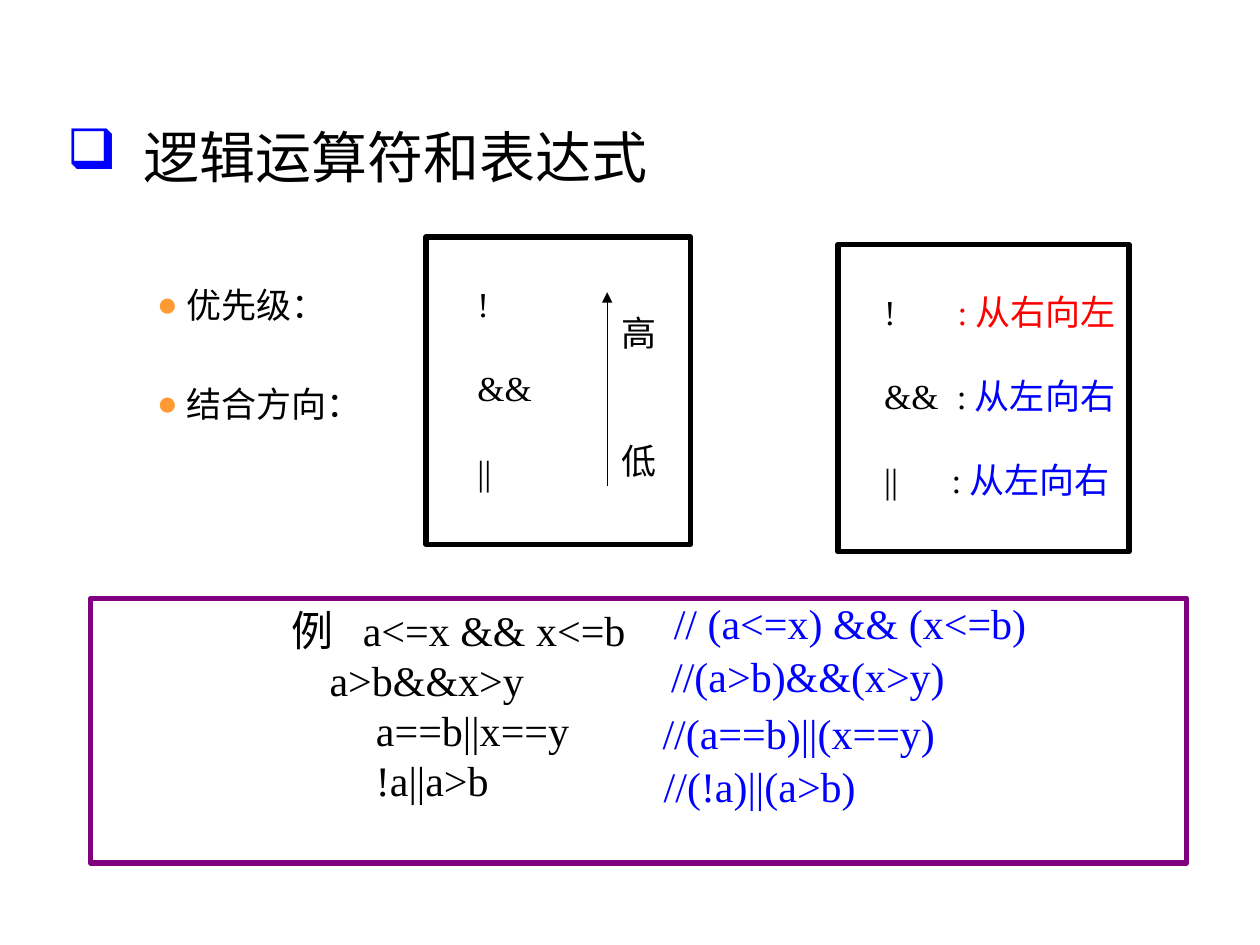
from dataclasses import dataclass

from lxml.etree import SubElement
from pptx import Presentation
from pptx.dml.color import RGBColor
from pptx.enum.shapes import MSO_CONNECTOR as Connector, MSO_SHAPE as Preset
from pptx.enum.text import MSO_ANCHOR as Anchor, MSO_AUTO_SIZE as AutoSize, PP_ALIGN as Align
from pptx.oxml.ns import qn
from pptx.util import Pt


@dataclass(frozen=True)
class Theme:
    ink: str = "000000"
    paper: str = "FFFFFF"
    blue: str = "0000FF"
    red: str = "FF0000"
    purple: str = "800080"
    orange: str = "FF9933"
    title: int = 32
    code: int = 24
    label: int = 20
    serif: str = "Times New Roman"
    sans: str = "Arial"
    heading: str = "Calibri"
    chinese: str = "Noto Sans CJK SC"


THEME = Theme()


def apply_format(target, values):
    for name, value in values.items():
        setattr(target, name, value)


def place(shape, left, top, width, height):
    apply_format(shape, {"left": Pt(left), "top": Pt(top),
                         "width": Pt(width), "height": Pt(height)})


def set_frame(frame, wrap):
    apply_format(frame, {"word_wrap": wrap, "auto_size": AutoSize.NONE,
                         "vertical_anchor": Anchor.TOP,
                         "margin_left": Pt(7.2), "margin_right": Pt(7.2),
                         "margin_top": Pt(3.6), "margin_bottom": Pt(3.6)})


def add_runs(paragraph, runs, size, font):
    for text, color, *special_font in runs:
        run = paragraph.add_run()
        run.text = text
        apply_format(run.font, {"size": Pt(size), "name": (special_font or [font])[0]})
        run.font.color.rgb = RGBColor.from_string(color)


def set_indent(paragraph, left, hang):
    properties = paragraph._p.get_or_add_pPr()
    properties.set("marL", str(Pt(left)))
    properties.set("indent", str(Pt(-hang)))


def set_bullet(paragraph, character, color):
    properties = paragraph._p.get_or_add_pPr()
    bullet_color = SubElement(properties, qn("a:buClr"))
    SubElement(bullet_color, qn("a:srgbClr"), val=color)
    SubElement(properties, qn("a:buChar"), char=character)


def write_lines(shape, lines, size, font, wrap=False, spacing=None, gap=0, bullet=None):
    frame = shape.text_frame
    set_frame(frame, wrap)
    for index, (runs, left, hang) in enumerate(lines):
        paragraph = frame.add_paragraph() if index else frame.paragraphs[0]
        apply_format(paragraph, {"alignment": Align.LEFT, "space_before": Pt(0),
                                 "space_after": Pt(gap),
                                 "line_spacing": Pt(spacing) if spacing else 1.0})
        set_indent(paragraph, left, hang)
        if bullet:
            set_bullet(paragraph, *bullet)
        add_runs(paragraph, runs, size, font)


def add_text(shapes, box, lines, size, **options):
    shape = shapes.add_textbox(*map(Pt, box))
    write_lines(shape, lines, size, THEME.serif, **options)


def add_frame(shapes, box, color, fill=None):
    shape = shapes.add_shape(Preset.RECTANGLE, *map(Pt, box))
    shape.shadow.inherit = False
    if fill:
        shape.fill.solid()
        shape.fill.fore_color.rgb = RGBColor.from_string(fill)
    else:
        shape.fill.background()
    shape.line.color.rgb = RGBColor.from_string(color)
    shape.line.width = Pt(3)
    return shape


def add_arrow(shapes, start, end):
    arrow = shapes.add_connector(Connector.STRAIGHT, *map(Pt, start + end))
    arrow.line.color.rgb = RGBColor.from_string(THEME.ink)
    arrow.line.width = Pt(0.75)
    SubElement(arrow.line._get_or_add_ln(), qn("a:tailEnd"), type="triangle")
    SubElement(arrow._element.spPr, qn("a:effectLst"))


def fill_placeholders(slide):
    title, body = slide.placeholders
    place(title, 31, 66.2, 516, 46)
    write_lines(title, [([("逻辑运算符和表达式", THEME.ink)], 43.5, 43.5)],
                THEME.title, THEME.heading, wrap=True, bullet=("❑", THEME.blue))
    place(body, 82.5, 158.4, 138, 89)
    topics = [([(text, THEME.ink)], 17, 17) for text in ("优先级：", "结合方向：")]
    write_lines(body, topics, THEME.label, THEME.sans, gap=32.5,
                bullet=("●", THEME.orange))


def add_priority(slide):
    shapes = slide.shapes.add_group_shape().shapes
    add_frame(shapes, (243.4, 135.4, 151.2, 175.7), THEME.ink)
    operators = [([(text, THEME.ink)], 0, 0) for text in ("!", "&&", "||")]
    add_text(shapes, (265.7, 158, 56, 127), operators, THEME.label, spacing=24, gap=24)
    for text, top in (("高", 174.2), ("低", 247.7)):
        add_text(shapes, (347.8, top, 34.6, 31.7), [([(text, THEME.ink)], 0, 0)],
                 THEME.label)
    add_arrow(shapes, (347, 278), (347, 167))


def add_direction(slide):
    shapes = slide.shapes.add_group_shape().shapes
    add_frame(shapes, (478.8, 139.7, 166.3, 175.7), THEME.ink)
    rules = [("!", THEME.red, "从右向左", THEME.red, 42),
             ("&&", THEME.ink, "从左向右", THEME.blue, 41.5),
             ("||", THEME.ink, "从左向右", THEME.blue, 38.5)]
    lines = [([(operator + "\t", THEME.ink), (":", colon), (text, color)], column, column)
             for operator, colon, text, color, column in rules]
    add_text(shapes, (498.2, 162.5, 146, 127), lines, THEME.label, spacing=24, gap=24)


def add_examples(slide):
    box = add_frame(slide.shapes, (51.8, 342, 626.4, 151.2), THEME.purple, THEME.paper)
    lines = [([("例\t", THEME.ink, THEME.chinese), ("a<=x && x<=b", THEME.ink)],
              148.5, 40.5)]
    lines += [([(text, THEME.ink)], left, 0)
              for text, left in (("a>b&&x>y", 129.5), ("a==b||x==y", 156),
                                 ("!a||a>b", 156))]
    write_lines(box, lines, THEME.code, THEME.serif, wrap=True, spacing=28.6)
    comments = [("// (a<=x) && (x<=b)", 378, 337.7, 227.5),
                ("//(a>b)&&(x>y)", 376.5, 367.9, 170.6),
                ("//(a==b)||(x==y)", 371.5, 401, 170),
                ("//(!a)||(a>b)", 372.2, 431.3, 123.8)]
    for text, left, top, width in comments:
        add_text(slide.shapes, (left, top, width, 36), [([(text, THEME.blue)], 0, 0)],
                 THEME.code)


def main():
    presentation = Presentation()
    apply_format(presentation, {"slide_width": Pt(720), "slide_height": Pt(540)})
    slide = presentation.slides.add_slide(presentation.slide_layouts[1])
    fill_placeholders(slide)
    add_priority(slide)
    add_examples(slide)
    add_direction(slide)
    presentation.save("out.pptx")


if __name__ == "__main__":
    main()
